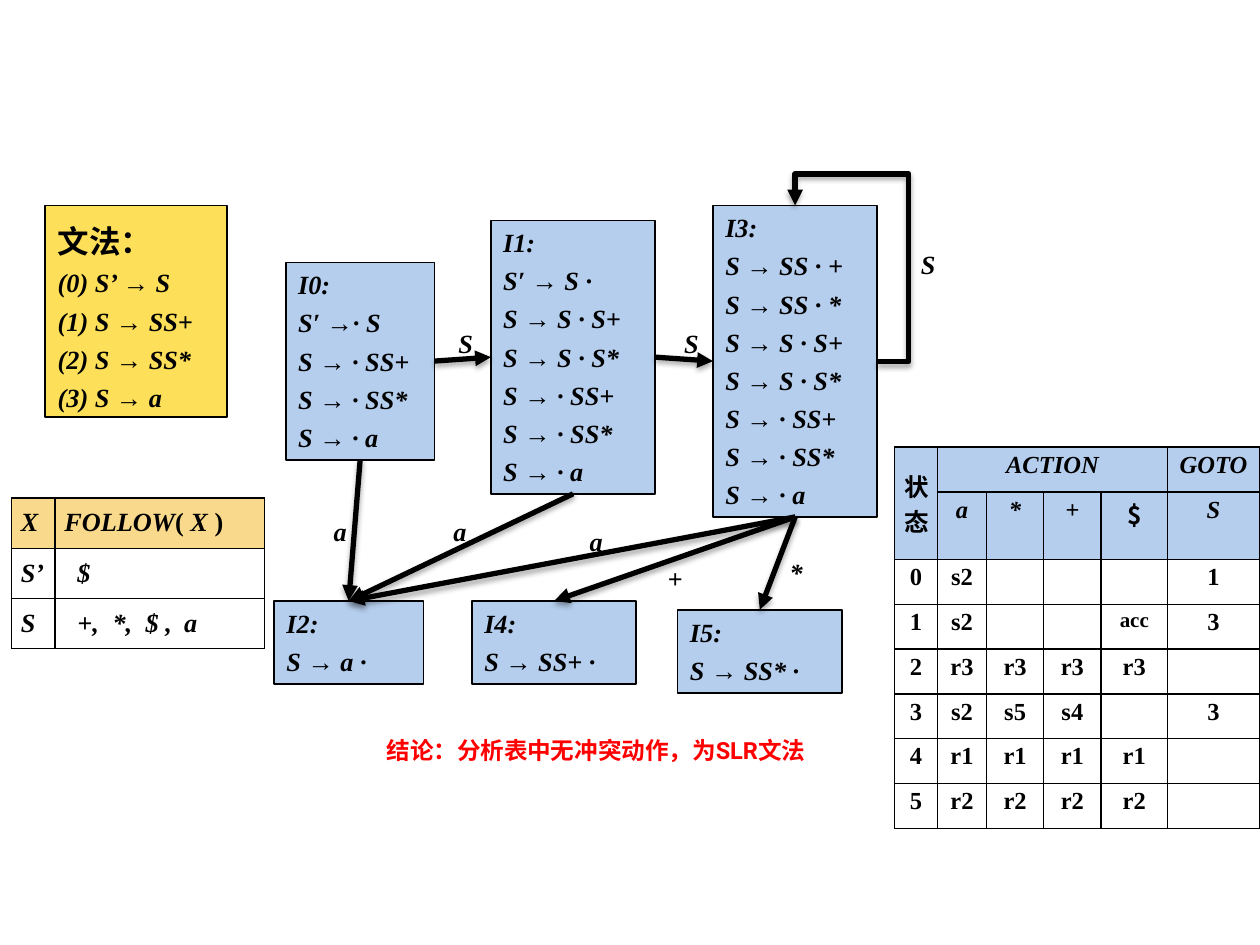
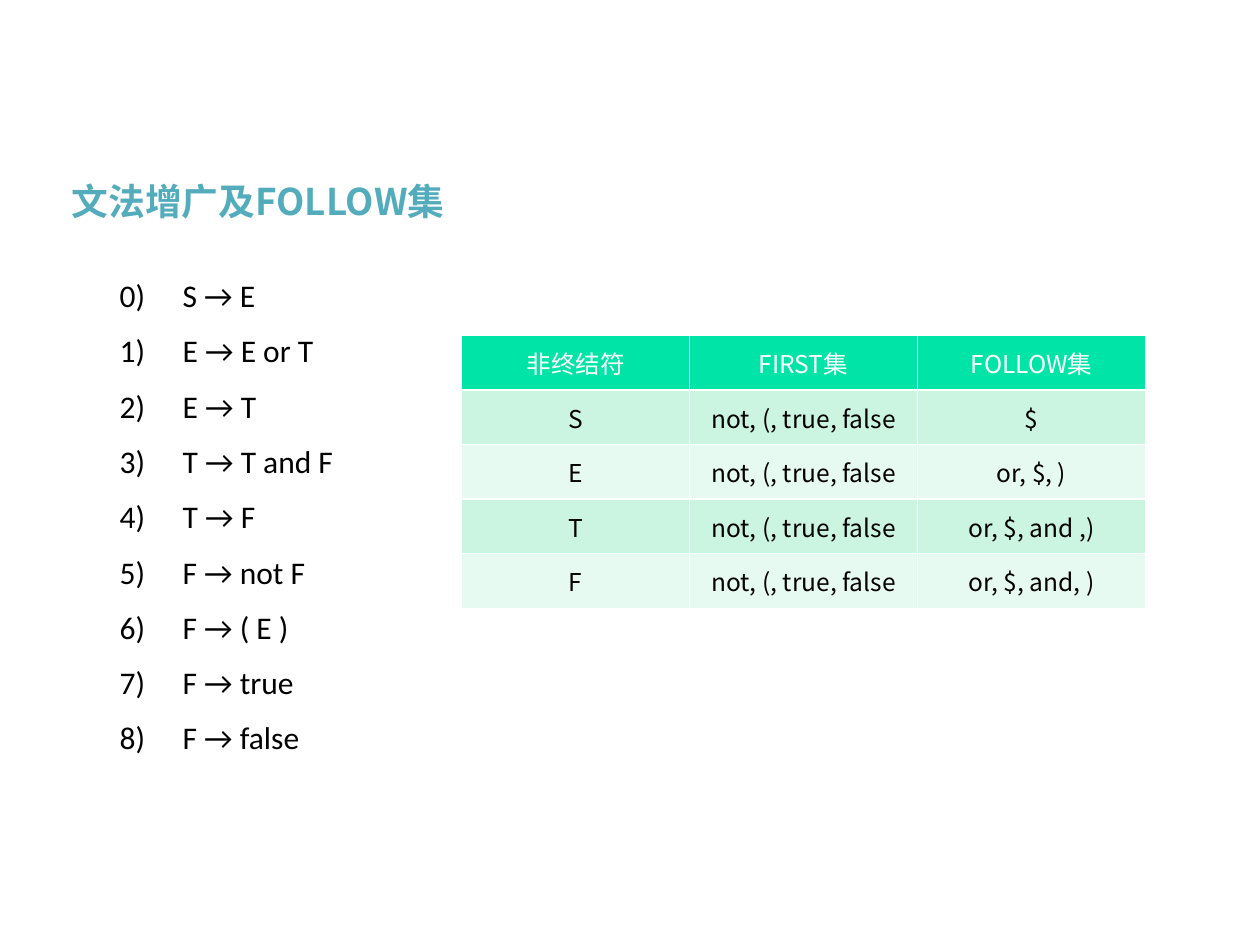
import lxml.etree
import pptx
import pptx.dml.color
import pptx.enum.shapes
import pptx.enum.text
import pptx.oxml
import pptx.oxml.ns
import pptx.util

Pt = pptx.util.Pt
qn = pptx.oxml.ns.qn
sub = lxml.etree.SubElement
rgb = pptx.dml.color.RGBColor.from_string
SHAPE = pptx.enum.shapes.MSO_SHAPE
CONNECTOR = pptx.enum.shapes.MSO_CONNECTOR
ALIGN = pptx.enum.text.PP_ALIGN
ANCHOR = pptx.enum.text.MSO_ANCHOR
NO_FIT = pptx.enum.text.MSO_AUTO_SIZE.NONE

SERIF, SANS, CJK, BODY = "Times New Roman", "Roboto", "Noto Sans CJK SC", "Calibri"
BLACK, WHITE, RED, TEAL = "000000", "FFFFFF", "FF0000", "53ACBC"
YELLOW, ORANGE, BLUE = "FEDF59", "F9D98C", "B5CEED"
GREEN, PALE_GREEN, PALER_GREEN = "00E4A8", "CCF5E1", "E7FAF1"
TERM = dict(size=15, font=SERIF, bold=True, italic=True)
RULE_GAP = Pt(3.75)


def add_run(p, text, size, font, color=BLACK, bold=False, italic=False):
    if not text:
        p._p.get_or_add_endParaRPr().set("sz", str(size * 100))
        return
    r = p.add_run()
    r.text = text
    r.font.size, r.font.name = Pt(size), font
    r.font.bold, r.font.italic = bold, italic
    r.font.color.rgb = rgb(color)
    sub(r._r.get_or_add_rPr(), qn("a:ea"), typeface=CJK)


def add_table(s, left, top, widths, heights, fills, line, margin):
    """Add an empty ruled table; fills holds one colour (or None) per row."""
    tbl = s.shapes.add_table(len(heights), len(widths), Pt(left), Pt(top),
                             Pt(sum(widths)), Pt(sum(heights))).table
    for col, width in zip(tbl.columns, widths):
        col.width = Pt(width)
    for row, height, fill in zip(tbl.rows, heights, fills):
        row.height = Pt(height)
        for cell in row.cells:
            cell.margin_left = cell.margin_right = Pt(5.4)
            cell.margin_top = cell.margin_bottom = Pt(margin)
            cell.vertical_anchor = ANCHOR.MIDDLE
            if fill:
                cell.fill.solid()
                cell.fill.fore_color.rgb = rgb(fill)
            else:
                cell.fill.background()
            tcPr = cell._tc.get_or_add_tcPr()
            for i, side in enumerate("LRTB"):
                ln = sub(tcPr, qn("a:ln" + side), w=str(Pt(1)))
                sub(sub(ln, qn("a:solidFill")), qn("a:srgbClr"), val=line)
                tcPr.insert(i, ln)
    return tbl


prs = pptx.Presentation()
prs.slide_width, prs.slide_height = Pt(720), Pt(540)

# Slide 1: automaton and SLR parsing table
s = prs.slides.add_slide(prs.slide_layouts[6])

boxes = {
    "文法：": (25.9, 117.4, 104, 121, ["(0) S’ → S", "(1) S → SS+", "(2) S → SS*", "(3) S → a"]),
    "I0:": (163.3, 150, 85, 112.7, ["S′ →· S", "S → · SS+", "S → · SS*", "S → · a"]),
    "I1:": (280.5, 126, 94, 156.2, ["S′ → S ·", "S → S · S+", "S → S · S*",
                                    "S → · SS+", "S → · SS*", "S → · a"]),
    "I3:": (407.4, 117.4, 94, 178, ["S → SS · +", "S → SS · *", "S → S · S+", "S → S · S*",
                                    "S → · SS+", "S → · SS*", "S → · a"]),
    "I2:": (156.6, 343.4, 85.4, 47.5, ["S → a ·"]),
    "I4:": (269.7, 343.4, 94, 47.5, ["S → SS+ ·"]),
    "I5:": (387.2, 348.4, 94, 47.5, ["S → SS* ·"]),
}
states = {}
for name, (left, top, width, height, rules) in boxes.items():
    is_grammar = name == "文法："
    sp = s.shapes.add_shape(SHAPE.RECTANGLE, Pt(left), Pt(top), Pt(width), Pt(height))
    sp.shadow.inherit = False
    sp.fill.solid()
    sp.fill.fore_color.rgb = rgb(YELLOW if is_grammar else BLUE)
    sp.line.color.rgb = rgb(BLACK)
    sp.line.width = Pt(1)
    tf = sp.text_frame
    tf.word_wrap = True
    tf.vertical_anchor = ANCHOR.MIDDLE if is_grammar else ANCHOR.TOP
    p = tf.paragraphs[0]
    p.alignment = ALIGN.LEFT
    if is_grammar:
        p.line_spacing = Pt(28.5)
        add_run(p, name, 18, SANS, bold=True)
    else:
        add_run(p, name, **TERM)
    for rule in rules:
        p = tf.add_paragraph()
        p.alignment = ALIGN.LEFT
        p.space_before = RULE_GAP
        add_run(p, rule, **TERM)
    states[name[:2]] = sp

TOP, LEFT, BOTTOM, RIGHT = range(4)  # connection sites of a rectangle
transitions = [
    ("I0", RIGHT, "I1", LEFT, "S", 254.9, 183.6),
    ("I1", RIGHT, "I3", LEFT, "S", 383.8, 183.6),
    ("I3", BOTTOM, "I5", TOP, "*", 444.2, 314.6),
    ("I0", BOTTOM, "I2", TOP, "a", 183.6, 290.9),
    ("I1", BOTTOM, "I2", TOP, "a", 252, 290.9),
    ("I3", BOTTOM, "I2", TOP, "a", 329.8, 296.6),
    ("I3", BOTTOM, "I4", TOP, "+", 374.4, 317.5),
    ("I3", RIGHT, "I3", TOP, "S", 519.1, 138.2),
]
for source, exit_site, target, entry_site, symbol, left, top in transitions:
    is_loop = source == target
    kind = CONNECTOR.ELBOW if is_loop else CONNECTOR.STRAIGHT
    cx = s.shapes.add_connector(kind, 0, 0, 0, 0)
    cx.begin_connect(states[source], exit_site)
    cx.end_connect(states[target], entry_site)
    cx.line.color.rgb = rgb(BLACK)
    cx.line.width = Pt(3)
    sub(cx.line._get_or_add_ln(), qn("a:tailEnd"), type="triangle")
    spPr = cx._element.spPr
    shadow = sub(sub(spPr, qn("a:effectLst")), qn("a:outerShdw"), blurRad=str(Pt(3.1)),
                 dist=str(Pt(1.8)), dir="5400000", rotWithShape="0")
    sub(sub(shadow, qn("a:srgbClr"), val=BLACK), qn("a:alpha"), val="35000")
    if is_loop:
        geom = spPr.find(qn("a:prstGeom"))
        geom.set("prst", "bentConnector4")
        avLst = geom.find(qn("a:avLst"))
        for adj, value in (("adj1", -38300), ("adj2", 120200)):
            sub(avLst, qn("a:gd"), name=adj, fmla=f"val {value}")
    tf = s.shapes.add_textbox(Pt(left), Pt(top), Pt(17.3), Pt(25.2)).text_frame
    tf.word_wrap = True
    add_run(tf.paragraphs[0], symbol, **TERM)

follow = add_table(s, 6.5, 284.6, [24.9, 119.7], [28.7] * 3, [ORANGE, None, None], BLACK, 2.5)
for row, symbol in enumerate(["X", "S’", "S"]):
    add_run(follow.cell(row, 0).text_frame.paragraphs[0], symbol, **TERM)
p = follow.cell(0, 1).text_frame.paragraphs[0]
for text, italic in (("FOLLOW", True), ("( ", False), ("X", True), (" )", False)):
    add_run(p, text, 15, SERIF, bold=True, italic=italic)
for row, members in enumerate(["$", "+,\t*,\t$ ,\ta"], 1):
    cell = follow.cell(row, 1)
    cell.margin_left = Pt(12.9)
    p = cell.text_frame.paragraphs[0]
    tabs = sub(p._p.get_or_add_pPr(), qn("a:tabLst"))
    for stop in (20, 39, 61):
        sub(tabs, qn("a:tab"), pos=str(Pt(stop)), algn="l")
    add_run(p, members, **TERM)

parsing_rows = [
    ["状态", "ACTION", "", "", "", "GOTO"],
    ["", "a", "*", "+", "$", "S"],
    ["0", "s2", "", "", "", "1"],
    ["1", "s2", "", "", "acc", "3"],
    ["2", "r3", "r3", "r3", "r3", ""],
    ["3", "s2", "s5", "s4", "", "3"],
    ["4", "r1", "r1", "r1", "r1", ""],
    ["5", "r2", "r2", "r2", "r2", ""],
]
parsing = add_table(s, 511.2, 255.5, [24.5, 28.1, 32.6, 32.8, 38, 52.6],
                    [25.6, 38] + [25.6] * 6, [BLUE] * 2 + [None] * 6, BLACK, 2.5)
for i, row in enumerate(parsing_rows):
    for j, text in enumerate(row):
        cell = parsing.cell(i, j)
        cell.vertical_anchor = ANCHOR.MIDDLE if text == "状态" else ANCHOR.TOP
        p = cell.text_frame.paragraphs[0]
        p.alignment = ALIGN.CENTER
        is_cjk = text in ("状态", "$")
        add_run(p, text, 12 if text == "acc" else 14, CJK if is_cjk else SERIF,
                bold=True, italic=i < 2 and not is_cjk)
parsing.cell(0, 0).merge(parsing.cell(1, 0))
parsing.cell(0, 1).merge(parsing.cell(0, 4))

tf = s.shapes.add_textbox(Pt(213.8), Pt(416.9), Pt(272.9), Pt(23.8)).text_frame
tf.word_wrap = True
add_run(tf.paragraphs[0], "结论：分析表中无冲突动作，为SLR文法", 13.5, SANS, RED, bold=True)

# Slide 2: augmented grammar and FIRST/FOLLOW sets
s = prs.slides.add_slide(prs.slide_layouts[1])
title, body = s.placeholders
for sp, (left, top, width, height) in ((title, (33.8, 98.6, 318.2, 32.4)),
                                       (body, (61.2, 154.1, 164.2, 293))):
    sp.left, sp.top, sp.width, sp.height = Pt(left), Pt(top), Pt(width), Pt(height)
    sp.text_frame.auto_size = NO_FIT
    sp.text_frame.vertical_anchor = ANCHOR.TOP
p = title.text_frame.paragraphs[0]
p.alignment = ALIGN.LEFT
add_run(p, "文法增广及FOLLOW集", 21, CJK, TEAL, bold=True)

productions = ["0)\tS → E", "E → E or T", "E → T", "T → T and F", "T → F",
               "F → not F", "F → ( E )", "F → true", "F → false"]
tf = body.text_frame
for i, production in enumerate(productions):
    p = tf.add_paragraph() if i else tf.paragraphs[0]
    pPr = p._p.get_or_add_pPr()
    if i:
        pPr.set("marL", str(Pt(36)))
        pPr.set("indent", str(Pt(-36)))
        sub(pPr, qn("a:buFont"), typeface="+mj-lt")
        sub(pPr, qn("a:buAutoNum"), type="arabicParenR")
    else:
        pPr.set("marL", "0")
        pPr.set("indent", "0")
        sub(pPr, qn("a:buNone"))
        sub(sub(pPr, qn("a:tabLst")), qn("a:tab"), pos=str(Pt(26.5)), algn="l")
    p.space_before = Pt(10 if i else 0)
    add_run(p, production, 18, BODY)

set_rows = [
    ["非终结符", "FIRST集", "FOLLOW集"],
    ["S", "not, (, true, false", "$"],
    ["E", "not, (, true, false", "or, $, )"],
    ["T", "not, (, true, false", "or, $, and ,)"],
    ["F", "not, (, true, false", "or, $, and, )"],
]
sets = add_table(s, 263.8, 191.7, [130.3] * 3, [31.2] * 5,
                 [GREEN] + [PALE_GREEN, PALER_GREEN] * 2, WHITE, 2.7)
for i, row in enumerate(set_rows):
    for j, text in enumerate(row):
        p = sets.cell(i, j).text_frame.paragraphs[0]
        p.alignment = ALIGN.CENTER
        add_run(p, text, 14, CJK, BLACK if i else WHITE)

prs.save("out.pptx")
